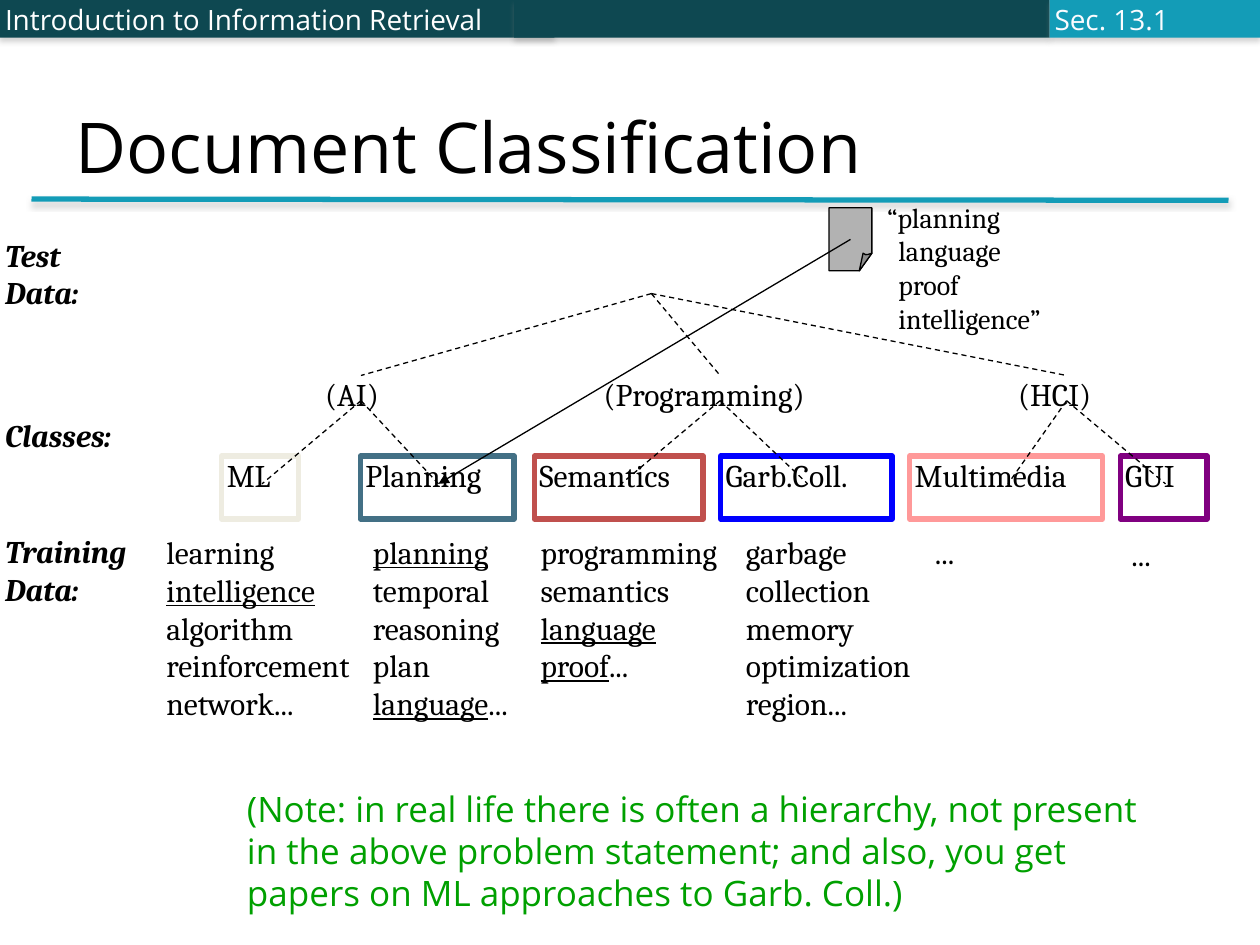
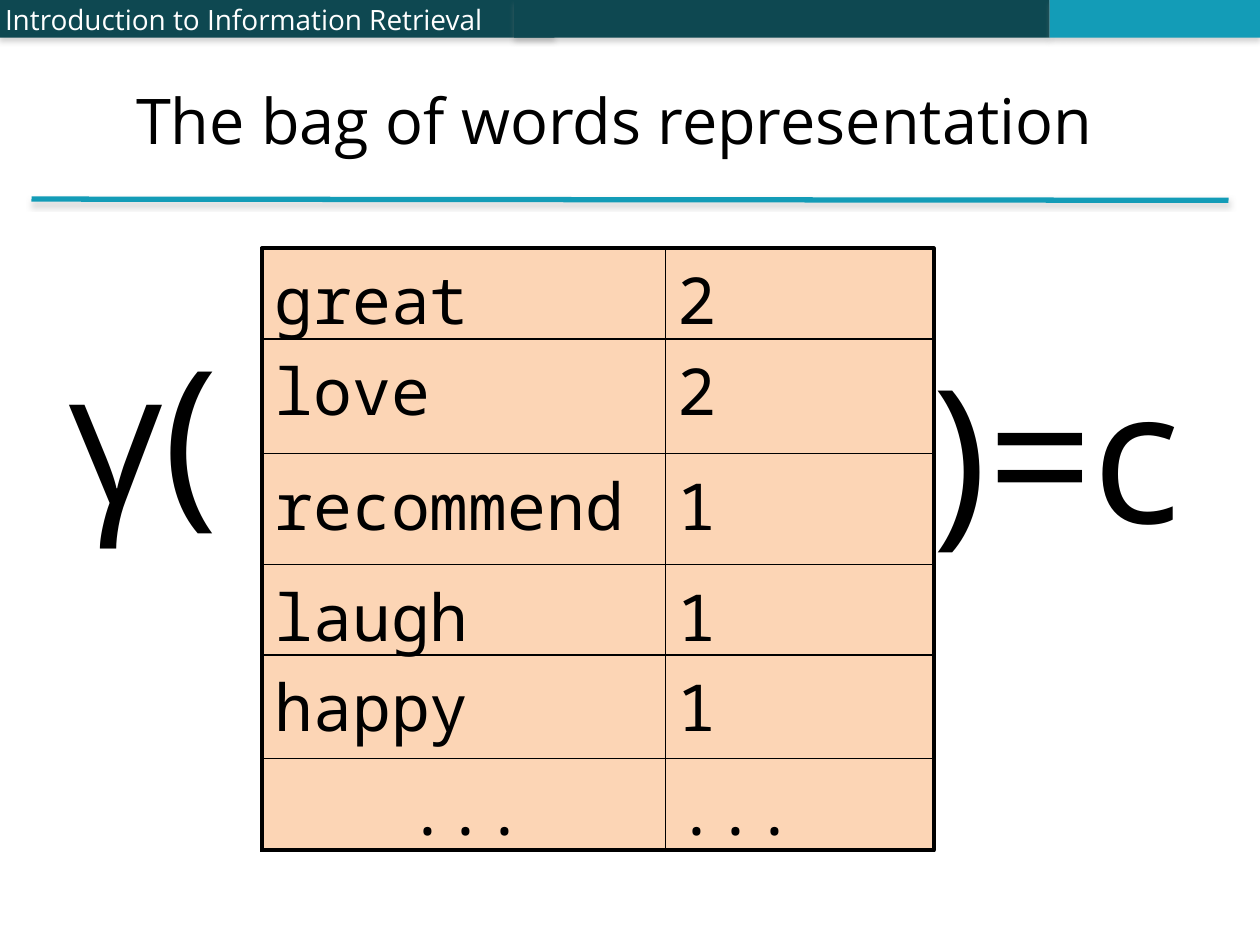
from dataclasses import dataclass
from typing import NamedTuple, Optional

from lxml.etree import SubElement
from pptx import Presentation
from pptx.dml.color import RGBColor
from pptx.enum.dml import MSO_LINE
from pptx.enum.shapes import MSO_CONNECTOR as Connector, MSO_SHAPE as Preset
from pptx.enum.text import MSO_ANCHOR as Anchor, PP_ALIGN as Align
from pptx.oxml.ns import qn
from pptx.util import Inches, Pt

COLUMNS, ROWS = 100, 75
UNIT = Inches(0.1)

WHITE = RGBColor(0xFF, 0xFF, 0xFF)
SECTION_WHITE = RGBColor(0xFB, 0xFC, 0xFF)
BLACK = RGBColor(0x00, 0x00, 0x00)
DARK_TEAL = RGBColor(0x0E, 0x48, 0x51)
TEAL = RGBColor(0x13, 0x9C, 0xB7)
PEACH = RGBColor(0xFC, 0xD5, 0xB5)
GREEN = RGBColor(0x00, 0xA0, 0x00)
PAGE_GREY = RGBColor(0xB2, 0xB2, 0xB2)
FOLD_GREY = RGBColor(0x8E, 0x8E, 0x8E)
IVORY = RGBColor(0xEE, 0xEC, 0xE1)
SLATE = RGBColor(0x43, 0x70, 0x85)
RED = RGBColor(0xC0, 0x50, 0x4D)
BLUE = RGBColor(0x00, 0x00, 0xFF)
PINK = RGBColor(0xFF, 0x99, 0x99)
PURPLE = RGBColor(0x80, 0x00, 0x80)

SANS, SERIF, MONO = "Open Sans", "Cambria", "Noto Sans Mono"
TEXT_INDENT = 0.4


class Box(NamedTuple):
    left: float
    top: float
    width: float
    height: float


class Point(NamedTuple):
    x: float
    y: float


class Run(NamedTuple):
    text: str
    underlined: bool = False


class Insets(NamedTuple):
    left: float = 0
    top: float = 0
    right: float = 0.4
    bottom: float = 0


@dataclass(frozen=True)
class Style:
    font: str = SERIF
    size: float = 18
    colour: RGBColor = BLACK
    emphasis: bool = False
    anchor: Anchor = Anchor.TOP
    insets: Insets = Insets()
    hanging: float = 0


@dataclass(frozen=True)
class TopicClass:
    name: str
    left: float
    width: float
    colour: RGBColor
    joint: float
    words: Box
    lines: list


@dataclass(frozen=True)
class Area:
    label: str
    box: Box
    peak: float
    classes: tuple


BODY = Style()
ROW_LABEL = Style(emphasis=True)
HEADER = Style(SANS, 16, WHITE, anchor=Anchor.MIDDLE)
SECTION = Style(SANS, 16, SECTION_WHITE, anchor=Anchor.MIDDLE)
TITLE_INSETS = Insets(0.6, 0.6, 1.4, 0.6)
FORMULA = Style(SANS, 106)


def units(value: float) -> int:
    return round(value * UNIT)


def place(box: Box) -> list[int]:
    return [units(value) for value in box]


def plain(*texts: str) -> list:
    return [(Run(text),) for text in texts]


def add_runs(paragraph, runs, style: Style, indent: float = TEXT_INDENT) -> None:
    properties = paragraph._p.get_or_add_pPr()
    properties.set("marL", str(units(indent)))
    properties.set("indent", "0")
    for part in runs:
        run = paragraph.add_run()
        run.text = part.text
        run.font.name = style.font
        run.font.size = Pt(style.size)
        run.font.color.rgb = style.colour
        run.font.bold = run.font.italic = style.emphasis
        run.font.underline = part.underlined


def write(shape, lines, style: Style) -> None:
    frame = shape.text_frame
    frame.word_wrap = True
    frame.vertical_anchor = style.anchor
    (frame.margin_left, frame.margin_top,
     frame.margin_right, frame.margin_bottom) = [units(value) for value in style.insets]
    for index, runs in enumerate(lines):
        paragraph = frame.add_paragraph() if index else frame.paragraphs[0]
        paragraph.alignment = Align.LEFT
        add_runs(paragraph, runs, style, TEXT_INDENT + (style.hanging if index else 0))


def add_text(slide, box: Box, lines, style: Style = BODY) -> None:
    write(slide.shapes.add_textbox(*place(box)), lines, style)


def add_effects(shape, opacity: int = 0) -> None:
    effects = SubElement(shape._element.spPr, qn("a:effectLst"))
    if opacity:
        shadow = SubElement(effects, qn("a:outerShdw"), blurRad=str(Pt(3)), dist=str(Pt(2)),
                            dir="5400000", rotWithShape="0")
        colour = SubElement(shadow, qn("a:srgbClr"), val="808080")
        SubElement(colour, qn("a:alpha"), val=str(opacity * 1000))


def paint(shape, fill: Optional[RGBColor], line: Optional[RGBColor], weight: float = 0.75,
          opacity: int = 0) -> None:
    if fill is None:
        shape.fill.background()
    else:
        shape.fill.solid()
        shape.fill.fore_color.rgb = fill
    if line is None:
        shape.line.fill.background()
    else:
        shape.line.color.rgb = line
        shape.line.width = Pt(weight)
    add_effects(shape, opacity)


def add_rectangle(slide, box: Box, fill=None, line=None, weight: float = 0.75, opacity: int = 0):
    shape = slide.shapes.add_shape(Preset.RECTANGLE, *place(box))
    paint(shape, fill, line, weight, opacity)
    return shape


def add_line(slide, start: Point, end: Point, colour: RGBColor = BLACK, weight: float = 0.75,
             dashed: bool = False, arrow: bool = False, opacity: int = 0) -> None:
    connector = slide.shapes.add_connector(
        Connector.STRAIGHT, *[units(value) for value in (*start, *end)])
    connector.line.color.rgb = colour
    connector.line.width = Pt(weight)
    if dashed:
        connector.line.dash_style = MSO_LINE.DASH
    if arrow:
        SubElement(connector._element.spPr.find(qn("a:ln")), qn("a:tailEnd"), type="triangle")
    add_effects(connector, opacity)


def add_outline(slide, points: list[Point], fill: RGBColor) -> None:
    first, *rest = [(units(point.x), units(point.y)) for point in points]
    builder = slide.shapes.build_freeform(*first)
    builder.add_line_segments(rest, close=True)
    paint(builder.convert_to_shape(), fill, BLACK)


def add_slide(presentation, title: str, title_box: Box, title_size: float):
    slide = presentation.slides.add_slide(presentation.slide_layouts[6])
    add_rectangle(slide, Box(0, 0, 44, 3), DARK_TEAL, opacity=35)
    add_text(slide, Box(0, -1.5, 44, 6.1), plain("Introduction to Information Retrieval"), HEADER)
    for left, right, colour in ((40.8, 83.3, DARK_TEAL), (83.3, COLUMNS, TEAL)):
        add_rectangle(slide, Box(left, 0, right - left, 3), colour, opacity=35)
    add_line(slide, Point(2.5, 15.8), Point(COLUMNS - 2.5, 15.9), TEAL, 3, opacity=38)
    add_text(slide, title_box, plain(title),
             Style(SANS, title_size, anchor=Anchor.BOTTOM, insets=TITLE_INSETS))
    return slide


AREAS = (
    Area("(AI)", Box(25.4, 29.8, 6.1, 4.4), 28.65, (
        TopicClass("ML", 17.6, 6.1, IVORY, 20.8, Box(12.8, 42.3, 17.1, 17.8),
                   [(Run("learning"),), (Run("intelligence", True),),
                    *plain("algorithm", "reinforcement", "network...")]),
        TopicClass("Planning", 28.6, 12.2, SLATE, 34.8, Box(29.2, 42.3, 13.7, 17.8),
                   [(Run("planning", True),), *plain("temporal", "reasoning", "plan"),
                    (Run("language", True), Run("..."))]))),
    Area("(Programming)", Box(47.5, 29.8, 18.8, 4.4), 57.15, (
        TopicClass("Semantics", 42.4, 13.4, RED, 49.3, Box(42.5, 42.3, 17.1, 14.4),
                   [*plain("programming", "semantics"), (Run("language", True),),
                    (Run("proof", True), Run("..."))]),
        TopicClass("Garb.Coll.", 57.2, 13.6, BLUE, 64.1, Box(58.8, 42.3, 15.9, 17.8),
                   plain("garbage", "collection", "memory", "optimization", "region...")))),
    Area("(HCI)", Box(80.4, 29.8, 8, 4.4), 84.65, (
        TopicClass("Multimedia", 72.2, 15.3, PINK, 80, Box(73.8, 42.3, 3.6, 4.4), plain("...")),
        TopicClass("GUI", 88.9, 6.9, PURPLE, 92.5, Box(89.4, 42.5, 3.6, 4.4), plain("...")))),
)


def build_classification(presentation) -> None:
    slide = add_slide(presentation, "Document Classification", Box(5, 0, 90, 15.5), 40)
    root = Point(51.7, 23.3)
    for area in AREAS:
        add_text(slide, area.box, plain(area.label))
        add_line(slide, root, Point(area.peak, 29.8), dashed=True)
        for topic in area.classes:
            frame = add_rectangle(slide, Box(topic.left, 36.2, topic.width, 5),
                                  line=topic.colour, weight=3)
            write(frame, plain(topic.name), BODY)
            add_text(slide, topic.words, topic.lines)
            add_line(slide, Point(area.peak, 31.8), Point(topic.joint, 38.4), dashed=True)
    for box, lines in ((Box(0, 18.7, 8, 7.8), ("Test", "Data:")),
                       (Box(0, 33, 10.7, 4.4), ("Classes:",)),
                       (Box(0, 42.2, 11, 7.8), ("Training", "Data:"))):
        add_text(slide, box, plain(*lines), ROW_LABEL)
    corner, notch = Point(68.2, 21.5), Point(69.2, 20.1)
    add_outline(slide, [Point(65.8, 16.5), Point(65.8, 21.5), corner, notch, Point(69.2, 16.5)],
                PAGE_GREY)
    add_outline(slide, [corner, Point(68.5, 20.1), Point(68.7, 20.22), Point(68.9, 20.2), notch],
                FOLD_GREY)
    add_text(slide, Box(70, 15.9, 15.2, 12.2),
             plain("“planning", "language", "proof", "intelligence”"), Style(size=16, hanging=0.9))
    add_line(slide, Point(67.5, 19), Point(34.8, 38.4), arrow=True)
    add_text(slide, Box(19.2, 62.5, 74.3, 10.7),
             plain("(Note: in real life there is often a hierarchy, not present in the above "
                   "problem statement; and also, you get papers on ML approaches to Garb. Coll.)"),
             Style(SANS, 20, GREEN))
    add_text(slide, Box(83.3, -0.3, 11.6, 3.6), plain("Sec. 13.1"), SECTION)


WORD_COUNTS = (("great", "2"), ("love", "2"), ("recommend", "1"),
               ("laugh", "1"), ("happy", "1"), ("...", "..."))
TABLE_COLUMNS = (32, 21.3)
TABLE_ROWS = (7.2, 9.1, 8.8, 7.2, 8.2, 7.3)
CELL_STYLE = Style(MONO, 37, insets=Insets(0.6, 0.6, 0.6, 0))


def add_borders(cell, outer: dict[str, bool]) -> None:
    properties = cell._tc.get_or_add_tcPr()
    for side, is_outer in outer.items():
        border = SubElement(properties, qn(f"a:ln{side}"), w=str(Pt(2.25 if is_outer else 1)))
        SubElement(SubElement(border, qn("a:solidFill")), qn("a:srgbClr"), val=str(BLACK))


def add_word_table(slide, box: Box) -> None:
    table = slide.shapes.add_table(len(TABLE_ROWS), len(TABLE_COLUMNS), *place(box)).table
    table.first_row = table.horz_banding = False
    for column, width in zip(table.columns, TABLE_COLUMNS):
        column.width = units(width)
    for row, height in zip(table.rows, TABLE_ROWS):
        row.height = units(height)
    last_row, last_column = len(TABLE_ROWS) - 1, len(TABLE_COLUMNS) - 1
    for r, texts in enumerate(WORD_COUNTS):
        for c, text in enumerate(texts):
            cell = table.cell(r, c)
            (cell.margin_left, cell.margin_top,
             cell.margin_right, cell.margin_bottom) = [units(v) for v in CELL_STYLE.insets]
            add_borders(cell, {"L": c == 0, "R": c == last_column,
                               "T": r == 0, "B": r == last_row})
            cell.fill.background()
            paragraph = cell.text_frame.paragraphs[0]
            paragraph.alignment = Align.CENTER if (r, c) == (last_row, 0) else Align.LEFT
            add_runs(paragraph, (Run(text),), CELL_STYLE)


def build_bag_of_words(presentation) -> None:
    slide = add_slide(presentation, "The bag of words representation", Box(9.8, 0, 86.8, 13.1), 36)
    box = Box(20.8, 19.7, sum(TABLE_COLUMNS), sum(TABLE_ROWS))
    add_rectangle(slide, box, PEACH, BLACK, 2.25)
    add_text(slide, Box(5, 25.3, 15.1, 18.3), plain("γ("), FORMULA)
    add_text(slide, Box(73.6, 26.8, 25.7, 18.3), plain(")=c"), FORMULA)
    add_word_table(slide, box)


def main() -> None:
    presentation = Presentation()
    presentation.slide_width = units(COLUMNS)
    presentation.slide_height = units(ROWS)
    build_classification(presentation)
    build_bag_of_words(presentation)
    presentation.save("out.pptx")


if __name__ == "__main__":
    main()
